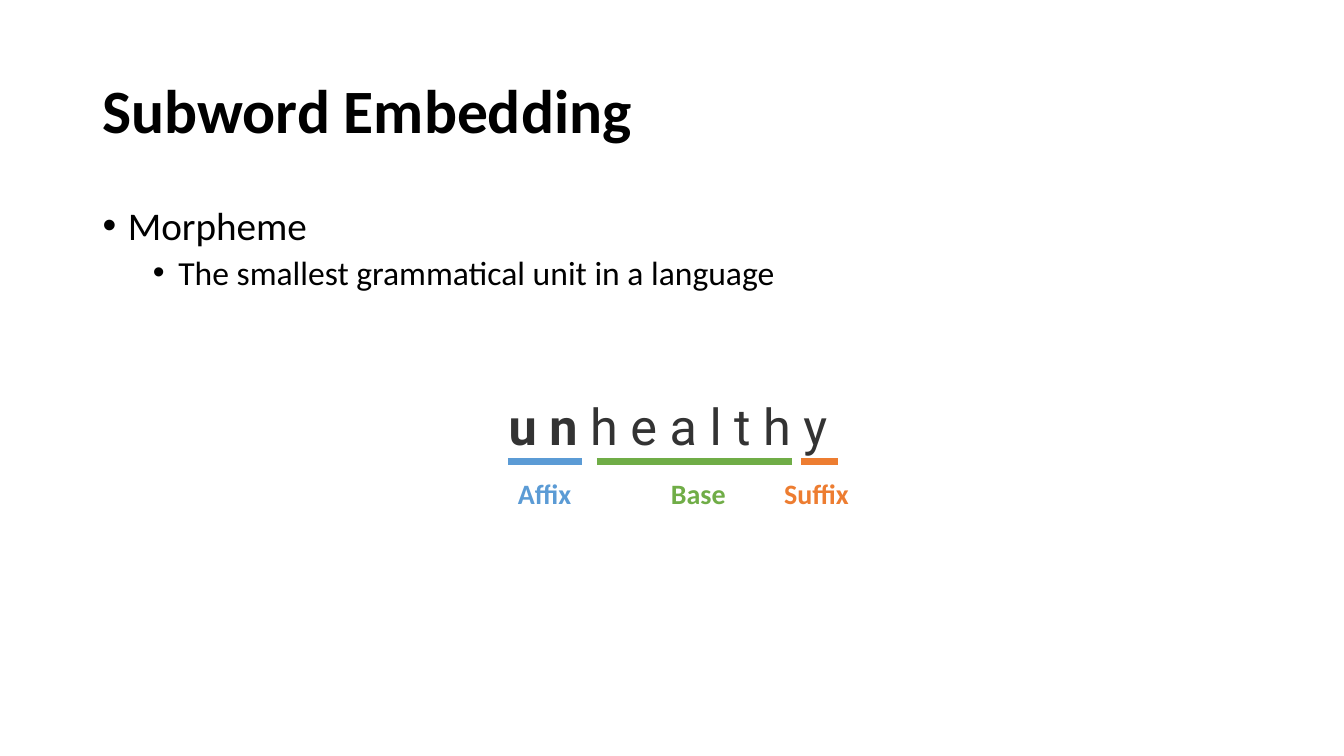
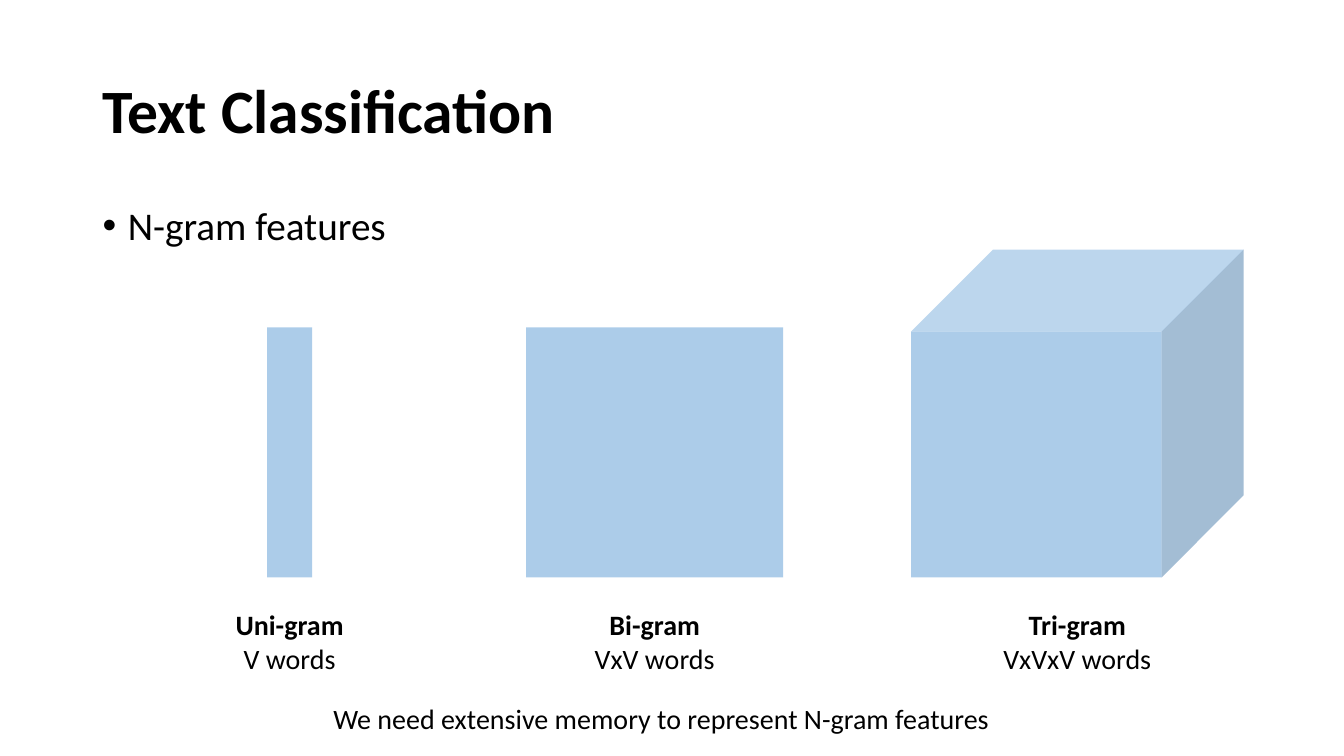
"""Build two slides on subword embedding and n-gram text classification."""
from lxml.etree import SubElement
from pptx import Presentation
from pptx.dml.color import RGBColor
from pptx.enum.shapes import MSO_CONNECTOR, MSO_SHAPE
from pptx.enum.text import MSO_ANCHOR, PP_ALIGN
from pptx.oxml.ns import qn
from pptx.util import Cm, Pt

COLORS = {
    "text": "000000",
    "word": "333333",
    "blue": "5B9BD5",
    "green": "70AD47",
    "orange": "ED7D31",
}
BULLET_STYLES = [(28, 10, 0.64), (24, 5, 1.91)]
HANGING = 0.64


def write(paragraph, pieces, size, color="text", font="Calibri"):
    """Add (text, bold) pieces to a paragraph in one style."""
    for text, bold in pieces:
        run = paragraph.add_run()
        run.text = text
        run.font.name = font
        run.font.size = Pt(size)
        run.font.bold = bold
        run.font.color.rgb = RGBColor.from_string(COLORS[color])


def add_label(slide, box, lines, size=20, color="text", font="Calibri", align=PP_ALIGN.LEFT, wrap=True):
    """Add a text box with one list of pieces per paragraph."""
    frame = slide.shapes.add_textbox(*[Cm(length) for length in box]).text_frame
    frame.word_wrap = wrap
    for number, pieces in enumerate(lines):
        paragraph = frame.add_paragraph() if number else frame.paragraphs[0]
        paragraph.alignment = align
        write(paragraph, pieces, size, color, font)


prs = Presentation()
prs.slide_width, prs.slide_height = Cm(33.87), Cm(19.05)

contents = [
    ("Subword Embedding", ["Morpheme", "The smallest grammatical unit in a language"]),
    ("Text Classification", ["N-gram features"]),
]
for heading, points in contents:
    slide = prs.slides.add_slide(prs.slide_layouts[1])
    title, body = slide.shapes.title, slide.placeholders[1]
    for placeholder, top, height in [(title, 1.01, 3.68), (body, 5.08, 12.09)]:
        placeholder.left, placeholder.top = Cm(2.33), Cm(top)
        placeholder.width, placeholder.height = Cm(29.21), Cm(height)

    title.text_frame.vertical_anchor = MSO_ANCHOR.MIDDLE
    title_line = title.text_frame.paragraphs[0]
    title_line.alignment = PP_ALIGN.LEFT
    title_line.line_spacing = 0.9
    write(title_line, [(heading, True)], 44)

    for level, point in enumerate(points):
        bullet = body.text_frame.add_paragraph() if level else body.text_frame.paragraphs[0]
        size, space, margin = BULLET_STYLES[level]
        bullet.level = level
        bullet.line_spacing = 0.9
        bullet.space_before = Pt(space)
        write(bullet, [(point, False)], size)
        properties = bullet._p.get_or_add_pPr()
        properties.set("marL", str(Cm(margin)))
        properties.set("indent", str(-Cm(HANGING)))
        SubElement(properties, qn("a:buFont")).set("typeface", "Arial")
        SubElement(properties, qn("a:buChar")).set("char", "•")

morphemes, ngrams = prs.slides

add_label(morphemes, (12.57, 9.83, 8.79, 1.8), [[("u n ", True), ("h e a l t h y", False)]],
          size=36, color="word", font="Roboto", wrap=False)

parts = [
    ("Affix", "blue", 12.8, 14.66, 12.8),
    ("Base", "green", 15.04, 19.96, 16.66),
    ("Suffix", "orange", 20.19, 21.13, 19.51),
]
for part, color, start, end, label_left in parts:
    underline = morphemes.shapes.add_connector(
        MSO_CONNECTOR.STRAIGHT, Cm(start), Cm(11.63), Cm(end), Cm(11.63))
    underline.line.width = Pt(4.5)
    underline.line.color.rgb = RGBColor.from_string(COLORS[color])
    SubElement(underline._element.spPr, qn("a:effectLst"))
    add_label(morphemes, (label_left, 11.89, 2.34, 1.12), [[(part, True)]], color=color)

BASELINE = 14.55
CAPTION_WIDTH = 5.18
grams = [
    ("Uni-gram", "V words", MSO_SHAPE.RECTANGLE, 7.3, 1.14, 6.3),
    ("Bi-gram", "VxV words", MSO_SHAPE.RECTANGLE, 16.5, 6.48, 6.3),
    ("Tri-gram", "VxVxV words", MSO_SHAPE.CUBE, 27.15, 8.38, 8.26),
]
for gram, count, outline, center, width, height in grams:
    space = ngrams.shapes.add_shape(
        outline, Cm(center - width / 2), Cm(BASELINE - height), Cm(width), Cm(height))
    space.shadow.inherit = False
    space.line.fill.background()
    space.fill.solid()
    space.fill.fore_color.rgb = RGBColor.from_string(COLORS["blue"])
    fill_color = space._element.spPr.find(qn("a:solidFill")).find(qn("a:srgbClr"))
    SubElement(fill_color, qn("a:alpha")).set("val", "50000")
    add_label(ngrams, (center - CAPTION_WIDTH / 2, 15.19, CAPTION_WIDTH, 1.96),
              [[(gram, True)], [(count, False)]], align=PP_ALIGN.CENTER)

add_label(ngrams, (8.15, 17.55, 17.63, 1.12),
          [[("We need extensive memory to represent N-gram features", False)]])

prs.save("out.pptx")
